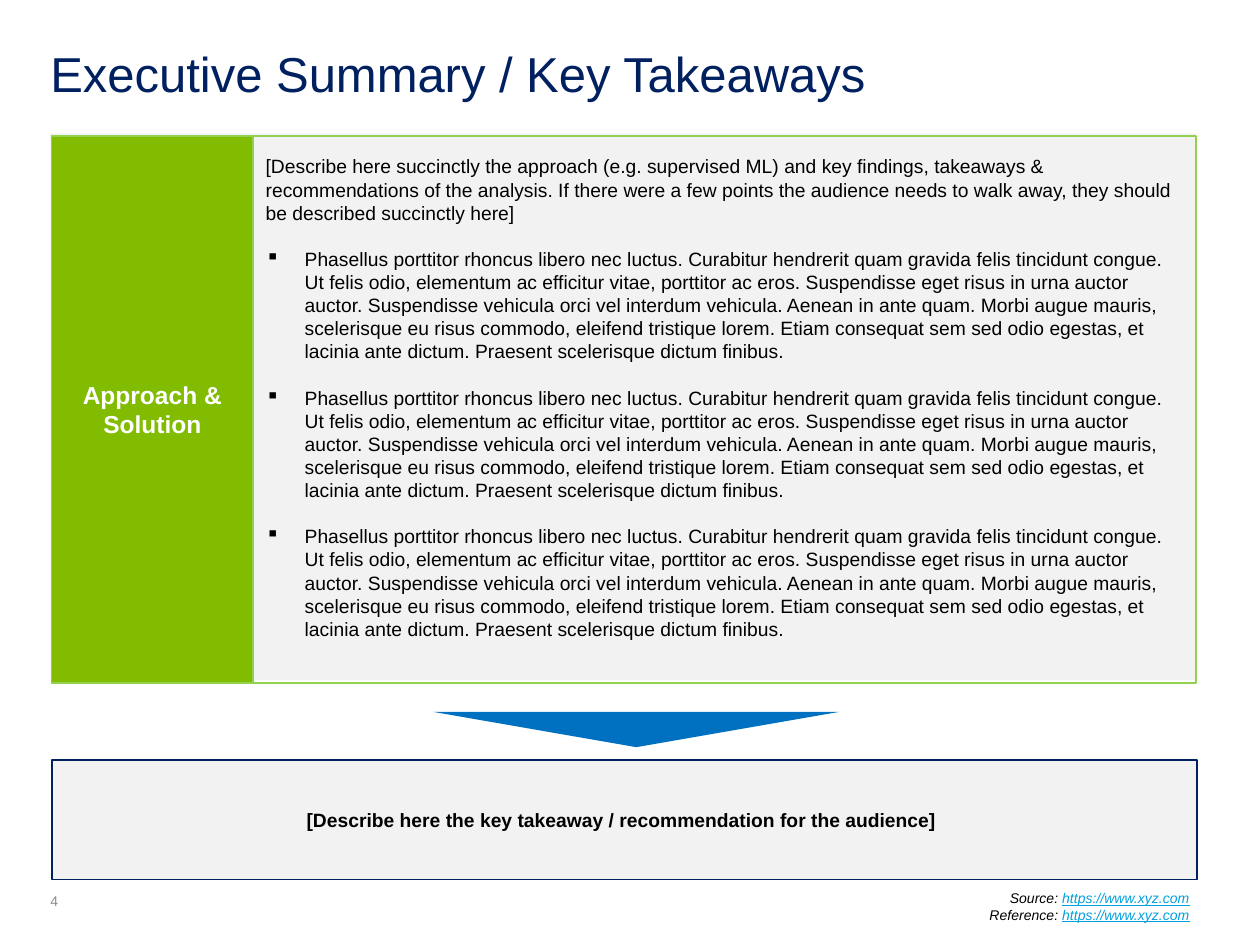
import pptx
import pptx.util
import pptx.dml.color
import pptx.enum.shapes
import pptx.enum.text
import lxml.etree
import pptx.oxml.ns

COLORS = {
    "navy": "002060", "green": "81BC00", "lime": "92D050", "blue": "0070C0",
    "panel": "F2F2F2", "link": "00A1DE", "grey": "8C8C8C",
    "black": "000000", "white": "FFFFFF",
}
ALIGN = pptx.enum.text.PP_ALIGN
ANCHOR = pptx.enum.text.MSO_ANCHOR
SHAPE = pptx.enum.shapes.MSO_SHAPE
COLUMNS, ROWS = 100, 75

INTRO = (
    "[Describe here succinctly the approach (e.g. supervised ML) and key findings, "
    "takeaways & recommendations of the analysis. If there were a few points the "
    "audience needs to walk away, they should be described succinctly here]"
)
POINT = (
    "Phasellus porttitor rhoncus libero nec luctus. Curabitur hendrerit quam gravida "
    "felis tincidunt congue. Ut felis odio, elementum ac efficitur vitae, porttitor ac "
    "eros. Suspendisse eget risus in urna auctor auctor. Suspendisse vehicula orci vel "
    "interdum vehicula. Aenean in ante quam. Morbi augue mauris, scelerisque eu risus "
    "commodo, eleifend tristique lorem. Etiam consequat sem sed odio egestas, et "
    "lacinia ante dictum. Praesent scelerisque dictum finibus."
)


def rgb(name):
    return pptx.dml.color.RGBColor.from_string(COLORS[name])


class SlideBuilder:
    """Places elements on a grid of 100 columns by 75 rows."""

    font = "Arial"

    def __init__(self, deck):
        self.cell_width = deck.slide_width / COLUMNS
        self.cell_height = deck.slide_height / ROWS
        self.page = deck.slides.add_slide(deck.slide_layouts[5])

    def area(self, column, row, columns, rows):
        return (int(column * self.cell_width), int(row * self.cell_height),
                int(columns * self.cell_width), int(rows * self.cell_height))

    def style_span(self, span, size, color, bold=False, italic=False, underline=False):
        span.font.name, span.font.size = self.font, pptx.util.Pt(size)
        span.font.color.rgb = rgb(color)
        span.font.bold, span.font.italic = bold, italic
        span.font.underline = underline

    def set_text(self, shape, text, size, color, align=ALIGN.LEFT,
                 anchor=ANCHOR.MIDDLE, inset=True, **style):
        frame = shape.text_frame
        frame.text, frame.word_wrap, frame.vertical_anchor = text, True, anchor
        if not inset:
            frame.margin_left = frame.margin_right = 0
            frame.margin_top = frame.margin_bottom = 0
        for para in frame.paragraphs:
            para.alignment = align
            for span in para.runs:
                self.style_span(span, size, color, **style)
        return frame

    def title(self, text, *place):
        shape = self.page.shapes.title
        shape.left, shape.top, shape.width, shape.height = self.area(*place)
        self.set_text(shape, text, 28, "navy", inset=False)

    def shape(self, *place, kind=SHAPE.RECTANGLE, fill=None, line=None):
        shape = self.page.shapes.add_shape(kind, *self.area(*place))
        shape.shadow.inherit = False
        if fill:
            shape.fill.solid()
            shape.fill.fore_color.rgb = rgb(fill)
        else:
            shape.fill.background()
        if line:
            shape.line.color.rgb = rgb(line)
            shape.line.width = pptx.util.Pt(1)
        else:
            shape.line.fill.background()
        return shape

    def text_box(self, *place):
        return self.page.shapes.add_textbox(*self.area(*place))

    def bullet(self, para, indent=0.31):
        properties = para._p.get_or_add_pPr()
        width = pptx.util.Inches(indent)
        properties.set("marL", str(width))
        properties.set("indent", str(-width))
        mark = lxml.etree.SubElement(properties, pptx.oxml.ns.qn("a:buChar"))
        mark.set("char", "▪")

    def sources(self, labels, address, *place):
        frame = self.set_text(self.text_box(*place), "\n".join(labels), 8, "black",
                              ALIGN.RIGHT, ANCHOR.TOP, italic=True)
        for para in frame.paragraphs:
            link = para.add_run()
            link.text = address
            self.style_span(link, 8, "link", italic=True, underline=True)


def main():
    deck = pptx.Presentation()
    deck.slide_width = pptx.util.Inches(10)
    deck.slide_height = pptx.util.Inches(7.5)
    slide = SlideBuilder(deck)

    slide.shape(4, 10.6, 90.9, 43.4, fill="panel")
    slide.title("Executive Summary / Key Takeaways", 4, 3.2, 92, 5.1)

    label = slide.shape(4.1, 10.8, 16, 43.4, fill="green", line="lime")
    slide.set_text(label, "Approach & Solution", 14, "white", ALIGN.CENTER, bold=True)

    body = slide.shape(20.1, 10.8, 74.8, 43.4, line="lime")
    frame = slide.set_text(body, "\n".join([INTRO] + [POINT] * 3), 11, "black")
    frame.margin_bottom = pptx.util.Inches(0.24)
    for para in frame.paragraphs[1:]:
        para.space_before = pptx.util.Pt(13.2)
        slide.bullet(para)

    takeaway = slide.shape(4.1, 60.3, 90.9, 9.5, fill="panel", line="navy")
    slide.set_text(takeaway,
                   "[Describe here the key takeaway / recommendation for the audience] ",
                   11, "black", ALIGN.CENTER, bold=True)

    arrow = slide.shape(34.4, 56.5, 32.2, 2.8, kind=SHAPE.ISOSCELES_TRIANGLE, fill="blue")
    arrow.rotation = 180

    slide.set_text(slide.text_box(4, 70.9, 5, 1.3), "4", 8, "grey",
                   anchor=ANCHOR.BOTTOM, inset=False)
    slide.sources(["Source: ", "Reference: "], "https://www.xyz.com", 55, 70.1, 40.4, 5)

    deck.save("out.pptx")


if __name__ == "__main__":
    main()
